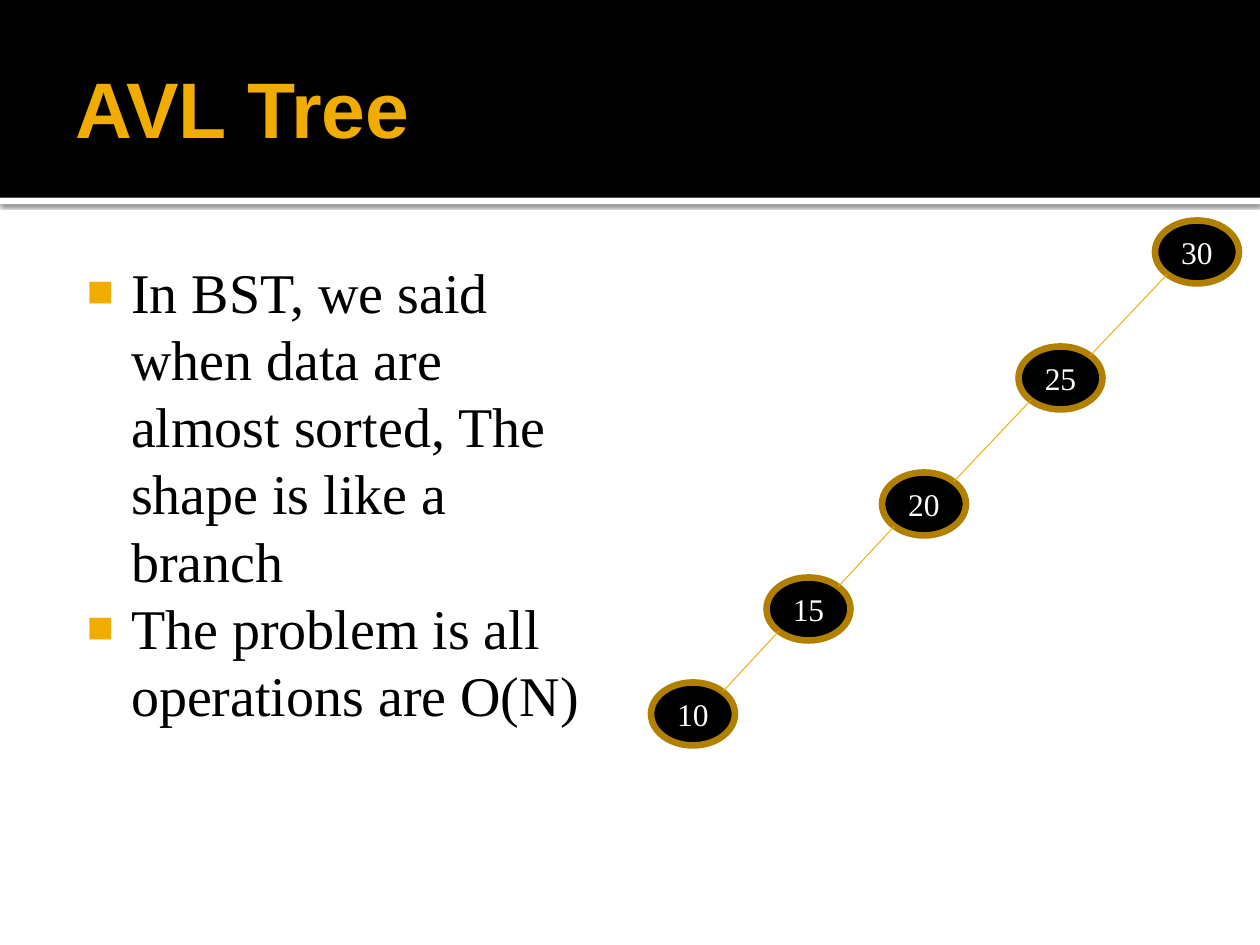
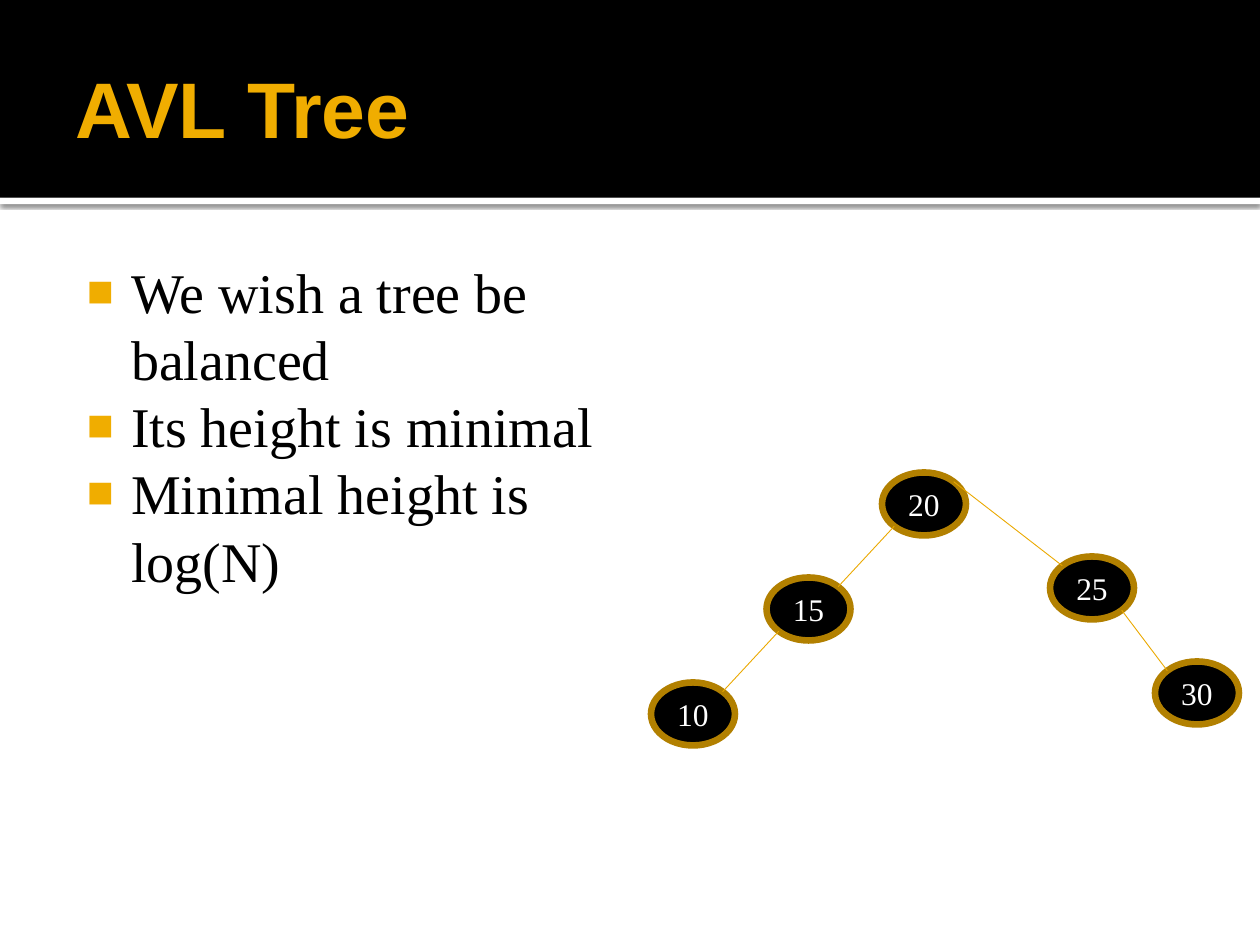
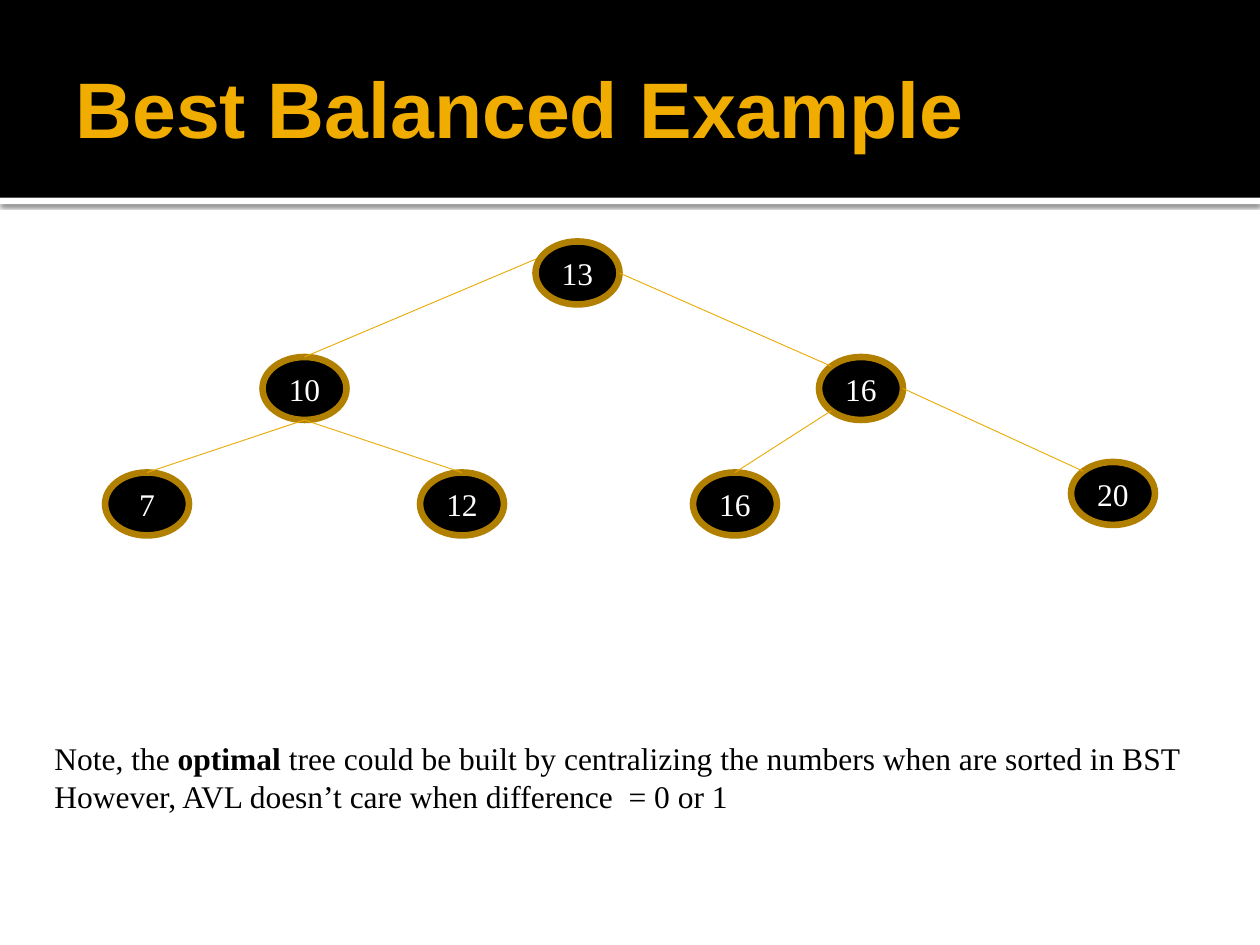
from dataclasses import dataclass
from typing import NamedTuple

from lxml.etree import SubElement
from pptx import Presentation
from pptx.dml.color import RGBColor
from pptx.enum.shapes import MSO_CONNECTOR as Connector, MSO_SHAPE as Preset
from pptx.enum.text import MSO_ANCHOR as Anchor, MSO_AUTO_SIZE as AutoSize, PP_ALIGN as Align
from pptx.oxml.ns import qn
from pptx.util import Inches, Pt

COLORS = {
    "band": "000000", "strip": "FFFFFF", "title": "F0AD00", "text": "000000",
    "bullet": "F0AD00", "node": "000000", "ring": "B28000", "key": "FFFFFF", "edge": "EBA900",
}
SERIF = "Times New Roman"
FORMATS = {
    "title": {"size": Pt(45), "name": "Arial", "bold": True},
    "text": {"size": Pt(32), "name": SERIF},
    "note": {"size": Pt(18), "name": SERIF},
    "key": {"size": Pt(18), "name": SERIF},
}

# The slide is a grid of 120 columns and 90 rows, twelve to the inch.
UNIT = Inches(1) / 12
COLUMNS, ROWS = 120, 90
NODE_WIDTH, NODE_HEIGHT = 8, 6
BAND_ROWS, STRIP_ROWS = 18.84, 0.6


class Area(NamedTuple):
    left: float
    top: float
    width: float
    height: float


TITLE_AREA = Area(6, 2, 108, 16.4)
BULLETS_AREA = Area(6, 23.3, 52, 60.7)
NOTE_AREA = Area(4, 69.8, 111, 8.5)

DIAGONAL = 0.5 ** 0.5
SITES = {
    "top": (0, -1), "bottom": (0, 1), "right": (1, 0),
    "top left": (-DIAGONAL, -DIAGONAL), "top right": (DIAGONAL, -DIAGONAL),
    "bottom left": (-DIAGONAL, DIAGONAL), "bottom right": (DIAGONAL, DIAGONAL),
}


@dataclass(frozen=True)
class Node:
    key: int
    column: float
    row: float

    def site(self, name: str) -> tuple[float, float]:
        """Return the grid position of a named point on the node's outline."""
        across, down = SITES[name]
        return (self.column + NODE_WIDTH / 2 * (1 + across),
                self.row + NODE_HEIGHT / 2 * (1 + down))


@dataclass(frozen=True)
class Edge:
    parent: Node
    child: Node
    leaves: str = "bottom left"
    enters: str = "top right"


class Run(NamedTuple):
    text: str
    bold: bool = False


def units(*lengths: float) -> list[int]:
    return [round(length * UNIT) for length in lengths]


def rgb(role: str) -> RGBColor:
    return RGBColor.from_string(COLORS[role])


def style(font, kind: str, role: str) -> None:
    for attribute, value in FORMATS[kind].items():
        setattr(font, attribute, value)
    font.color.rgb = rgb(role)


def add_filled(slide, preset, area: Area, role: str):
    shape = slide.shapes.add_shape(preset, *units(*area))
    shape.shadow.inherit = False
    shape.fill.solid()
    shape.fill.fore_color.rgb = rgb(role)
    shape.line.fill.background()
    return shape


def add_frame(slide, area: Area, **settings):
    """Add a wrapping text box and return its text frame."""
    frame = slide.shapes.add_textbox(*units(*area)).text_frame
    frame.word_wrap = True
    for attribute, value in settings.items():
        setattr(frame, attribute, value)
    return frame


def add_paragraphs(frame, count: int) -> list:
    return [frame.paragraphs[0]] + [frame.add_paragraph() for _ in range(count - 1)]


def add_header(slide, title: str) -> None:
    strip = add_filled(slide, Preset.RECTANGLE, Area(0, BAND_ROWS, COLUMNS, STRIP_ROWS), "strip")
    effects = strip._element.spPr.find(qn("a:effectLst"))
    shadow = SubElement(effects, qn("a:outerShdw"), blurRad=str(Pt(2.5)), dist=str(Pt(0.8)),
                        dir="5400000", algn="tl", rotWithShape="0")
    shade = SubElement(shadow, qn("a:srgbClr"), val="000000")
    SubElement(shade, qn("a:alpha"), val="60000")
    add_filled(slide, Preset.RECTANGLE, Area(0, 0, COLUMNS, BAND_ROWS), "band")

    frame = add_frame(slide, TITLE_AREA, vertical_anchor=Anchor.MIDDLE,
                      margin_right=Inches(0.05))
    frame.text = title
    style(frame.paragraphs[0].font, "title", "title")


def add_bullets(slide, points: list[str]) -> None:
    frame = add_frame(slide, BULLETS_AREA, margin_left=Inches(0.06), margin_top=Inches(0.1))
    for paragraph, point in zip(add_paragraphs(frame, len(points)), points):
        properties = paragraph._p.get_or_add_pPr()
        properties.set("marL", str(Inches(0.48)))
        properties.set("indent", str(Inches(-0.35)))
        tint = SubElement(properties, qn("a:buClr"))
        SubElement(tint, qn("a:srgbClr"), val=COLORS["bullet"])
        SubElement(properties, qn("a:buSzPct"), val="80000")
        SubElement(properties, qn("a:buFont"), typeface="Arial")
        SubElement(properties, qn("a:buChar"), char="■")
        paragraph.add_run().text = point
        style(paragraph.font, "text", "text")


def add_note(slide, lines: list[list[Run]]) -> None:
    frame = add_frame(slide, NOTE_AREA, auto_size=AutoSize.SHAPE_TO_FIT_TEXT)
    for paragraph, line in zip(add_paragraphs(frame, len(lines)), lines):
        for part in line:
            run = paragraph.add_run()
            run.text = part.text
            style(run.font, "note", "text")
            run.font.bold = part.bold


def add_node(slide, node: Node) -> None:
    area = Area(node.column, node.row, NODE_WIDTH, NODE_HEIGHT)
    ellipse = add_filled(slide, Preset.OVAL, area, "node")
    ellipse.line.color.rgb = rgb("ring")
    ellipse.line.width = Pt(3.78)
    frame = ellipse.text_frame
    frame.vertical_anchor = Anchor.MIDDLE
    frame.text = str(node.key)
    frame.paragraphs[0].alignment = Align.CENTER
    style(frame.paragraphs[0].font, "key", "key")


def add_edge(slide, edge: Edge) -> None:
    ends = units(*edge.parent.site(edge.leaves), *edge.child.site(edge.enters))
    line = slide.shapes.add_connector(Connector.STRAIGHT, *ends)
    line.line.color.rgb = rgb("edge")
    line.line.width = Pt(0.5)
    SubElement(line._element.spPr, qn("a:effectLst"))


def add_tree(slide, parts: list[Node | Edge]) -> None:
    """Draw nodes and edges from back to front."""
    for part in parts:
        if isinstance(part, Node):
            add_node(slide, part)
        else:
            add_edge(slide, part)


def add_slide(deck, title: str):
    slide = deck.slides.add_slide(deck.slide_layouts[6])
    add_header(slide, title)
    return slide


def add_branch_slide(deck) -> None:
    slide = add_slide(deck, "AVL Tree")
    add_bullets(slide, [
        "In BST, we said when data are almost sorted, The shape is like a branch",
        "The problem is all operations are O(N)",
    ])
    branch = [Node(30, 110, 21), Node(25, 97, 33), Node(20, 84, 45),
              Node(15, 73, 55), Node(10, 62, 65)]
    add_tree(slide, branch + [Edge(*pair) for pair in zip(branch, branch[1:])])


def add_balanced_slide(deck) -> None:
    slide = add_slide(deck, "AVL Tree")
    add_bullets(slide, [
        "We wish a tree be balanced",
        "Its height is minimal",
        "Minimal height is log(N)",
    ])
    root, left, left_leaf = Node(20, 84, 45), Node(15, 73, 55), Node(10, 62, 65)
    right, right_leaf = Node(25, 100, 53), Node(30, 110, 63)
    add_tree(slide, [
        root, left, left_leaf, right, right_leaf,
        Edge(root, left), Edge(left, left_leaf),
        Edge(root, right, "top right", "top left"),
        Edge(right, right_leaf, "bottom right", "top left"),
    ])


def add_example_slide(deck) -> None:
    slide = add_slide(deck, "Best Balanced Example")
    root, left, right = Node(13, 51, 23), Node(10, 25, 34), Node(16, 78, 34)
    leaves = [Node(7, 10, 45), Node(12, 40, 45), Node(16, 66, 45), Node(20, 102, 44)]
    add_tree(slide, [
        left, right, *leaves,
        Edge(root, left, "top", "top"),
        *[Edge(left, leaf, "bottom", "top") for leaf in leaves[:2]],
        Edge(right, leaves[2], "bottom left", "top"),
        Edge(right, leaves[3], "right", "top left"),
        root,
        Edge(root, right, "right", "top left"),
    ])
    add_note(slide, [
        [Run("Note, the "), Run("optimal", bold=True),
         Run(" tree could be built by centralizing the numbers when are sorted in BST")],
        [Run("However, AVL doesn’t care when difference  = 0 or 1")],
    ])


def main() -> None:
    deck = Presentation()
    deck.slide_width, deck.slide_height = units(COLUMNS, ROWS)
    add_branch_slide(deck)
    add_balanced_slide(deck)
    add_example_slide(deck)
    deck.save("out.pptx")


if __name__ == "__main__":
    main()
